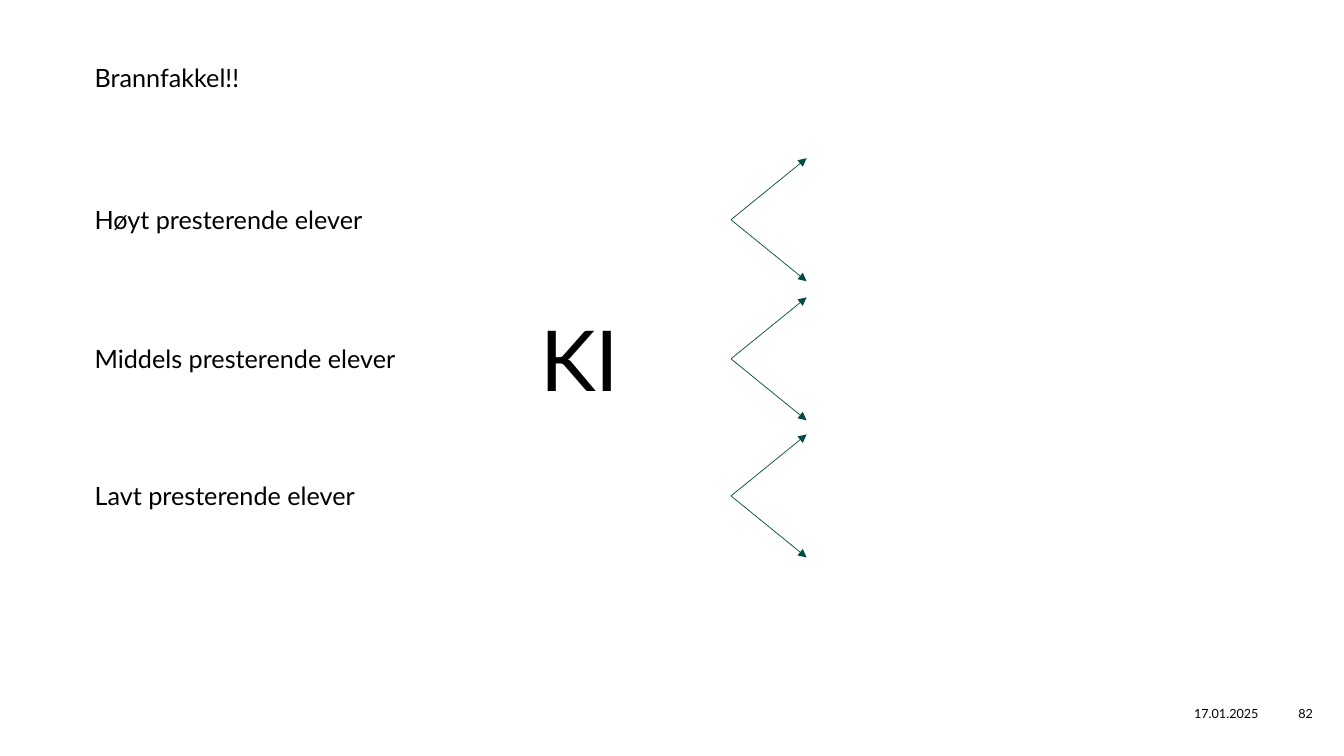
"""Build the slide on pupil levels, KI and branching outcomes."""
from lxml import etree
from pptx import Presentation, util as u
from pptx.dml.color import RGBColor
from pptx.enum import shapes, text
from pptx.oxml.ns import qn

PX = 9144
COLORS = {"text": "000000", "arrow": "034B45"}
LEFT, MIDDLE = text.PP_ALIGN.LEFT, text.MSO_ANCHOR.MIDDLE

prs = Presentation()
prs.slide_width, prs.slide_height = 1333 * PX, 750 * PX
s = prs.slides.add_slide(prs.slide_layouts[6])


def add_text(words, x, y, w, h, size, align=LEFT, anchor=text.MSO_ANCHOR.TOP):
    tf = s.shapes.add_textbox(x * PX, y * PX, w * PX, h * PX).text_frame
    tf.word_wrap = True
    tf.vertical_anchor = anchor
    p = tf.paragraphs[0]
    p.alignment = align
    r = p.add_run()
    r.text = words
    r.font.name = "Lato"
    r.font.size = u.Pt(size)
    r.font.color.rgb = RGBColor.from_string(COLORS["text"])


def add_arrow(x1, y1, x2, y2):
    c = s.shapes.add_connector(shapes.MSO_CONNECTOR.STRAIGHT,
                               x1 * PX, y1 * PX, x2 * PX, y2 * PX)
    c.line.color.rgb = RGBColor.from_string(COLORS["arrow"])
    c.line.width = u.Pt(0.5)
    etree.SubElement(c.line._get_or_add_ln(), qn("a:tailEnd"), type="triangle")
    etree.SubElement(c._element.spPr, qn("a:effectLst"))


add_text("Brannfakkel!!", 84, 57, 365, 40, 18)

levels = [("Høyt", 218), ("Middels", 356), ("Lavt", 492)]
for level, mid in levels:
    add_text(f"{level} presterende elever", 84, mid - 20, 365, 40, 18)
    for rise in (-61, 61):
        add_arrow(725, mid, 800, mid + rise)

add_text("KI", 526, 300, 120, 111, 60)

add_text("17.01.2025", 1111, 688, 147, 40, 9, text.PP_ALIGN.RIGHT, MIDDLE)
add_text("82", 1257, 688, 76, 40, 9, text.PP_ALIGN.CENTER, MIDDLE)

prs.save("out.pptx")
